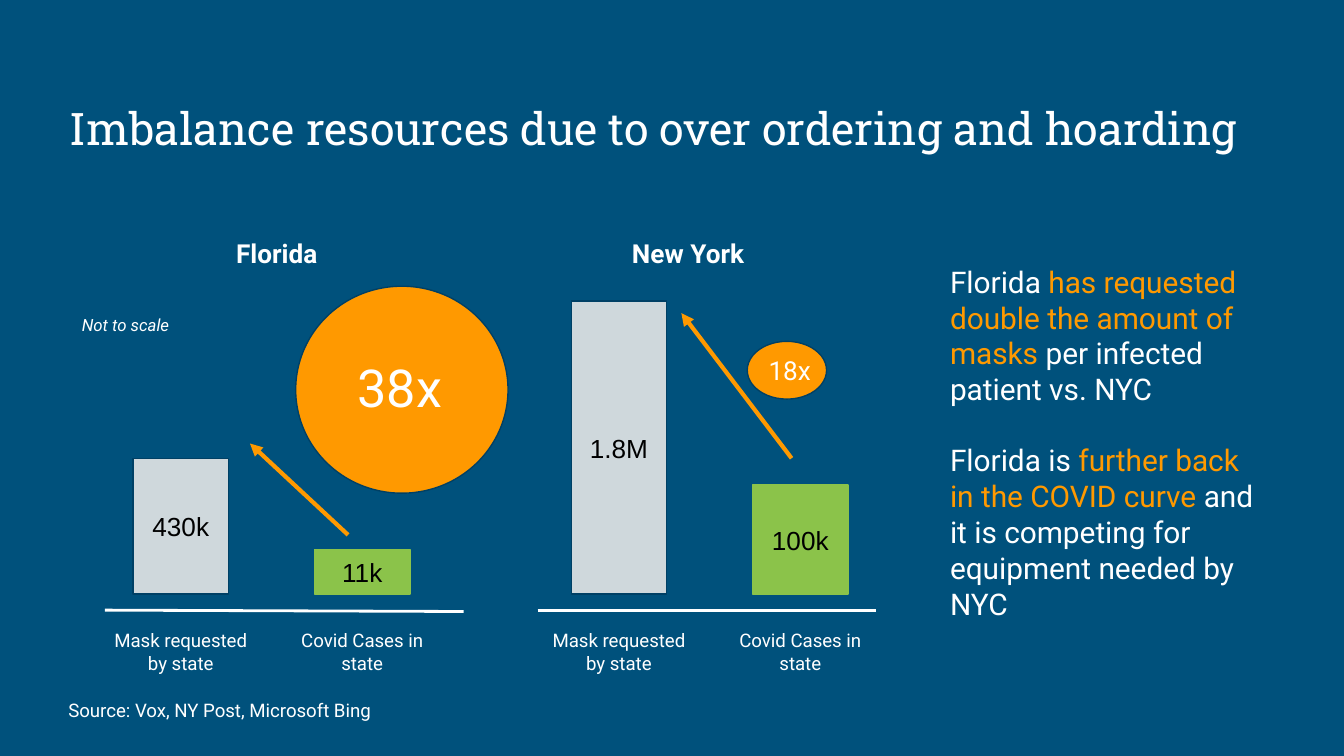
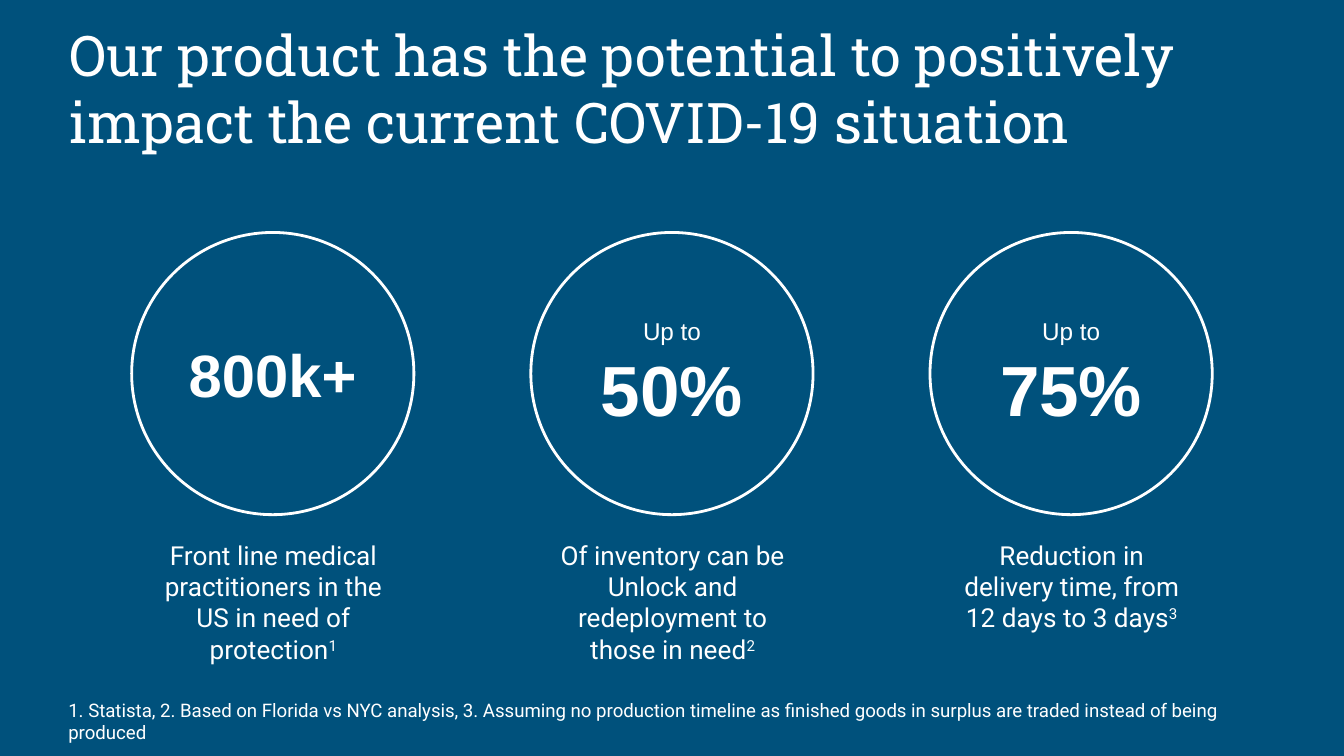
"""Build two slides on mask demand by state and the impact of the product."""
from lxml import etree
from pptx import Presentation
from pptx.dml.color import RGBColor
from pptx.enum.shapes import MSO_CONNECTOR, MSO_SHAPE
from pptx.enum.text import MSO_ANCHOR, MSO_AUTO_SIZE, PP_ALIGN
from pptx.oxml.ns import qn
from pptx.util import Pt

PX = 9144
RECT, OVAL = MSO_SHAPE.RECTANGLE, MSO_SHAPE.OVAL
STRAIGHT, FIXED = MSO_CONNECTOR.STRAIGHT, MSO_AUTO_SIZE.NONE
TOP, CORE, BASE = MSO_ANCHOR.TOP, MSO_ANCHOR.MIDDLE, MSO_ANCHOR.BOTTOM
LEFT, MID = PP_ALIGN.LEFT, PP_ALIGN.CENTER
HUE = {
    "back": "00517C", "edge": "004065", "white": "FFFFFF", "black": "000000",
    "gold": "FF9900", "grey": "CFD8DC", "green": "8BC34A",
}
RGB = {name: RGBColor.from_string(code) for name, code in HUE.items()}


def put(page, at, lines, size, kind=None, fill=None, edge="edge", width=0.75,
        face="Roboto", ink="white", align=MID, bold=False, italic=False, head=None):
    """Fill a text box, a shape or a title; each line is a string or (text, colour) runs."""
    at = [n * PX for n in at]
    if head is not None:
        item = head
        item.left, item.top, item.width, item.height = at
    elif kind is None:
        item = page.shapes.add_textbox(*at)
    else:
        item = page.shapes.add_shape(kind, *at)
        item.shadow.inherit = False
        if fill:
            item.fill.solid()
            item.fill.fore_color.rgb = RGB[fill]
        else:
            item.fill.background()
        item.line.color.rgb = RGB[edge]
        item.line.width = Pt(width)
    frame = item.text_frame
    frame.word_wrap = True
    frame.auto_size = FIXED
    frame.vertical_anchor = BASE if head is not None else CORE if kind else TOP
    frame.margin_left = frame.margin_right = 10 * PX
    frame.margin_top = frame.margin_bottom = 10 * PX
    for i, line in enumerate(lines):
        para = frame.add_paragraph() if i else frame.paragraphs[0]
        para.alignment = align
        font = para.font
        font.name, font.size, font.bold, font.italic = face, Pt(size), bold, italic
        font.color.rgb = RGB[ink]
        for text, tone in [(line, None)] if isinstance(line, str) else line:
            run = para.add_run()
            run.text = text
            if tone:
                run.font.color.rgb = RGB[tone]
    return item


def rule(page, ends, tone, width, arrow=False):
    """Add a straight line, with an arrowhead at its end if asked."""
    line = page.shapes.add_connector(STRAIGHT, *[n * PX for n in ends])
    line.line.color.rgb = RGB[tone]
    line.line.width = Pt(width)
    if arrow:
        etree.SubElement(line.line._get_or_add_ln(), qn("a:tailEnd"), type="triangle")
    etree.SubElement(line._element.spPr, qn("a:effectLst"))


deck = Presentation()
deck.slide_width = 1000 * PX
deck.slide_height = deck.slide_width * 9 // 16
back = deck.slide_master.background.fill
back.solid()
back.fore_color.rgb = RGB["back"]

heads = [
    ("Imbalance resources due to over ordering and hoarding", 24,
     "Source: Vox, NY Post, Microsoft Bing"),
    ("Our product has the potential to positively impact the current COVID-19 situation", 30,
     "1. Statista, 2. Based on Florida vs NYC analysis, 3. Assuming no production timeline "
     "as finished goods in surplus are traded instead of being produced"),
]
pages = []
for title, size, note in heads:
    page = deck.slides.add_slide(deck.slide_layouts[5])
    put(page, (42, 50, 915, 75), [title], size, face="Roboto Slab", align=LEFT,
        head=page.shapes.title)
    put(page, (41, 510, 922, 20), [note], 10, align=LEFT)
    pages.append(page)

need, gain = pages

put(need, (220, 213, 158, 154), [], 28, OVAL, "gold")
put(need, (556, 254, 59, 43), [], 14, OVAL, "gold")
states = [
    ("Florida", 87, 99, (78, 454, 345, 455), ("430k", 101), ("11k", 33)),
    ("New York", 393, 425, (400, 454, 652, 454), ("1.8M", 218), ("100k", 81)),
]
for name, x, start, base, masks, cases in states:
    put(need, (x, 167, 238, 46), [name], 14, bold=True)
    rule(need, base, "white", 1.5)
    bars = [(masks, "grey", "edge", "Mask requested by state"),
            (cases, "green", "green", "Covid Cases in state")]
    for i, ((value, tall), fill, edge, label) in enumerate(bars):
        x = start + 135 * i
        put(need, (x, 442 - tall, 71, tall), [value], 14, RECT, fill, edge,
            face="Arial", ink="black")
        put(need, (x - 26, 458, 123, 46), [label], 10)

put(need, (51, 224, 155, 25), ["Not to scale"], 9, align=LEFT, italic=True)
rule(need, (259, 398, 186, 330), "gold", 2.25, True)
rule(need, (589, 341, 507, 233), "gold", 2.25, True)
put(need, (220, 254, 155, 134), ["38x"], 28)
put(need, (562, 254, 74, 43), ["18x"], 14, align=LEFT)
points = put(need, (697, 186, 252, 101), [
    [("Florida ", None), ("has requested double the amount of masks", "gold"),
     (" per infected patient vs. NYC", None)],
    [("Florida is ", None), ("further back in the COVID curve", "gold"),
     (" and it is competing for equipment needed by NYC", None)],
], 16, align=LEFT)
points.text_frame.paragraphs[1].space_before = Pt(19)

facts = [
    (["800k+"], 32, "Front line medical practitioners in the US in need of protection"),
    (["Up to", "50%"], 38, "Of inventory can be Unlock and redeployment to those in need"),
    (["Up to", "75%"], 38, "Reduction in delivery time, from 12 days to 3 days"),
]
for i, (lines, size, text) in enumerate(facts):
    x = 98 + 297 * i
    ring = put(gain, (x, 173, 210, 210), lines, 13, OVAL, edge="white", width=1.5, face="Arial")
    big = ring.text_frame.paragraphs[-1].font
    big.size, big.bold = Pt(size), True
    label = put(gain, (x + 9, 391, 193, 65), [[(text, None), (str(i + 1), None)]], 14)
    mark = label.text_frame.paragraphs[0].runs[1]
    mark.font._element.set("baseline", "30000")

deck.save("out.pptx")
